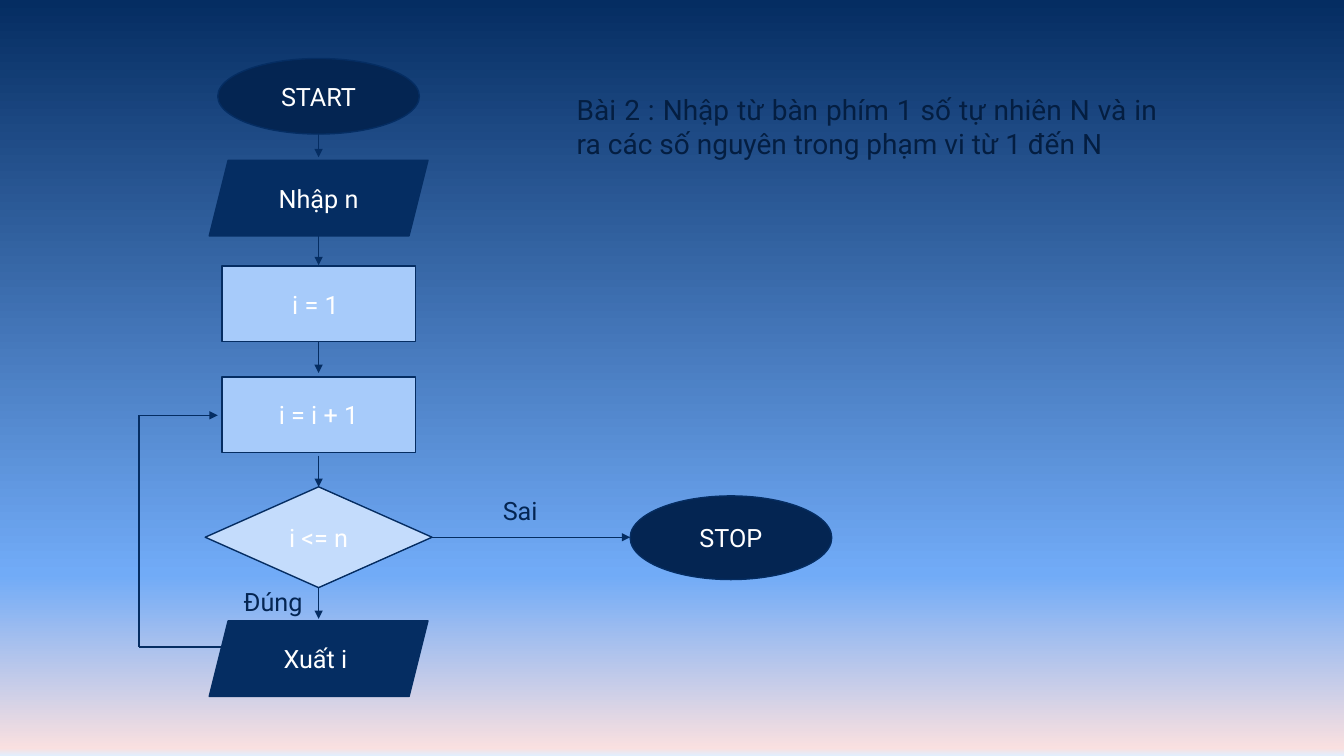
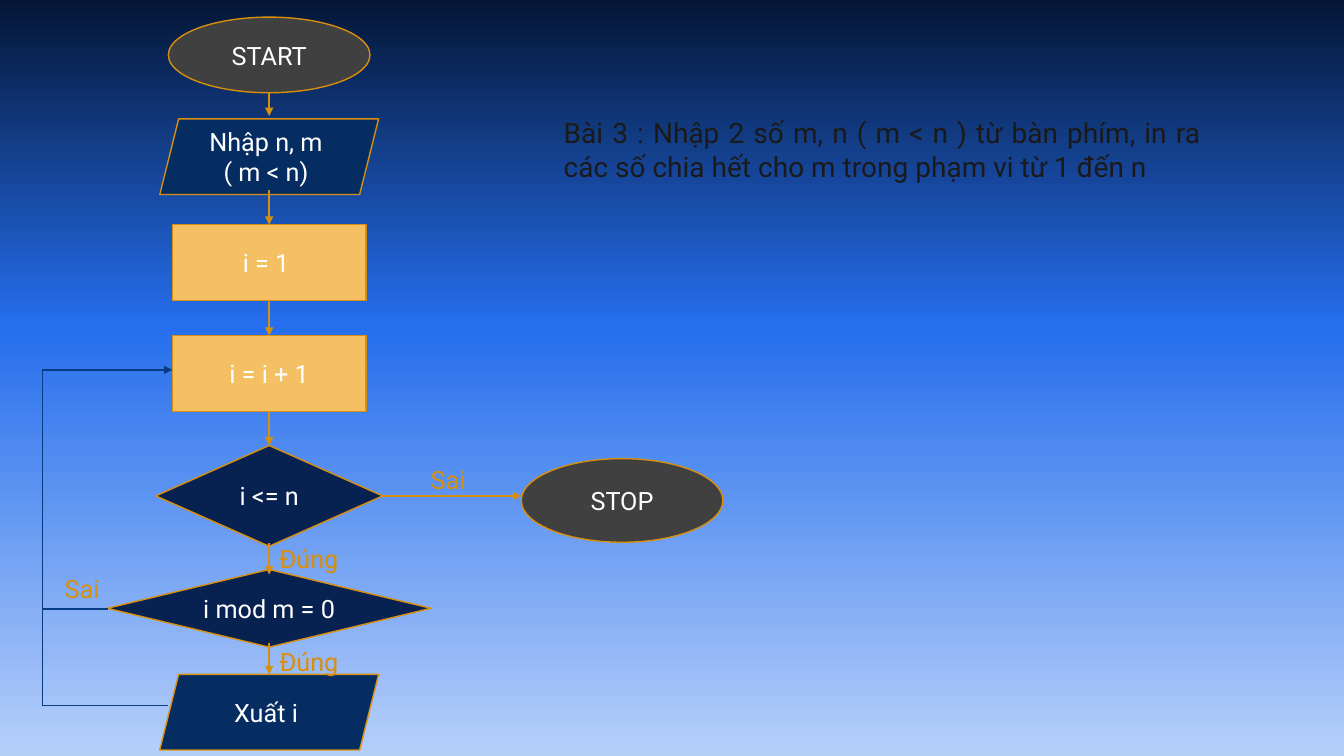
from dataclasses import dataclass

from lxml import etree
from pptx import Presentation
from pptx.dml.color import RGBColor
from pptx.enum.shapes import MSO_CONNECTOR, MSO_SHAPE
from pptx.enum.text import MSO_ANCHOR, MSO_AUTO_SIZE, PP_ALIGN
from pptx.oxml.ns import qn
from pptx.util import Inches, Pt

STRAIGHT = MSO_CONNECTOR.STRAIGHT
MIDDLE = MSO_ANCHOR.MIDDLE
GROW = MSO_AUTO_SIZE.SHAPE_TO_FIT_TEXT
CENTER = PP_ALIGN.CENTER
JUSTIFY = PP_ALIGN.JUSTIFY

FONT = "Roboto"
WHITE = "FFFFFF"
NAVY = "052D62"
KINDS = {
    "start": (MSO_SHAPE.OVAL, 2, 0.75),
    "stop": (MSO_SHAPE.OVAL, 2, 0.83),
    "data": (MSO_SHAPE.PARALLELOGRAM, 2.17, 0.75),
    "process": (MSO_SHAPE.RECTANGLE, 1.92, 0.75),
    "decision": (MSO_SHAPE.DIAMOND, 2.25, 1),
    "wide decision": (MSO_SHAPE.FLOWCHART_DECISION, 3.21, 0.77),
}


@dataclass
class Theme:
    gradient: list
    terminal: str
    process: str
    decision: str
    outline: str
    loop: str
    label: str
    task: str

    def fill(self, kind):
        return {"start": self.terminal, "stop": self.terminal, "data": NAVY,
                "process": self.process}.get(kind, self.decision)


COUNTING = Theme(
    [(0, "E2EEFD"), (1, "F9E0E0"), (24, "71ABF7"), (100, NAVY)],
    "042552", "A7CBFA", "C4DCFC", NAVY, NAVY, "042552", "041E41")
DIVISORS = Theme(
    [(0, "B6CFF9"), (57, "256EED"), (100, "041636")],
    "404040", "F5C064", "072251", "D88F0E", "073C82", "D88F0E", "1A1A1A")


def color(value):
    return RGBColor.from_string(value)


def add_slide(prs, theme):
    slide = prs.slides.add_slide(prs.slide_layouts[6])
    fill = slide.background.fill
    fill.gradient()
    fill.gradient_angle = 90
    stops = slide.element.find(".//" + qn("a:gsLst"))
    for stop in list(stops):
        stops.remove(stop)
    for position, value in theme.gradient:
        stop = etree.SubElement(stops, qn("a:gs"), pos=str(position * 1000))
        etree.SubElement(stop, qn("a:srgbClr"), val=value)
    return slide


def write(frame, text, size, value, align):
    frame.word_wrap = True
    frame.text = text
    for paragraph in frame.paragraphs:
        paragraph.alignment = align
        for run in paragraph.runs:
            run.font.name = FONT
            run.font.size = Pt(size)
            run.font.color.rgb = color(value)


def add_node(slide, theme, kind, center, top, text):
    preset, width, height = KINDS[kind]
    node = slide.shapes.add_shape(preset, Inches(center - width / 2), Inches(top),
                                  Inches(width), Inches(height))
    node.shadow.inherit = False
    node.fill.solid()
    node.fill.fore_color.rgb = color(theme.fill(kind))
    node.line.color.rgb = color(theme.outline)
    node.line.width = Pt(1)
    node.text_frame.vertical_anchor = MIDDLE
    write(node.text_frame, text, 18, WHITE, CENTER)


def add_link(slide, value, start, end, arrow=True):
    link = slide.shapes.add_connector(STRAIGHT, *map(Inches, start + end))
    link.line.color.rgb = color(value)
    link.line.width = Pt(1)
    if arrow:
        etree.SubElement(link.line._get_or_add_ln(), qn("a:tailEnd"), type="triangle")
    etree.SubElement(link._element.spPr, qn("a:effectLst"))


def add_text(slide, box, text, size, value, align):
    frame = slide.shapes.add_textbox(*map(Inches, box)).text_frame
    frame.margin_left = frame.margin_right = frame.margin_top = frame.margin_bottom = 0
    frame.auto_size = GROW
    write(frame, text, size, value, align)


def add_task(slide, theme, left, top, width, text):
    add_text(slide, (left, top, width, 0.67), text, 20, theme.task, JUSTIFY)


def add_labels(slide, theme, labels):
    for left, top, width, text in labels:
        add_text(slide, (left, top, width, 0.3), text, 18, theme.label, CENTER)


def add_column(slide, theme, center, steps, arrows):
    for kind, top, text in steps:
        add_node(slide, theme, kind, center, top, text)
    for start, end in arrows:
        add_link(slide, theme.outline, (center, start), (center, end))


def add_exit(slide, theme, start, end, level, stop_top):
    add_link(slide, theme.outline, (start, level), (end, level))
    add_node(slide, theme, "stop", end + KINDS["stop"][1] / 2, stop_top, "STOP")


def add_loop(slide, theme, left, target, sources):
    right, top = target
    bottom = max(level for _, level in sources)
    for source in sources:
        add_link(slide, theme.loop, source, (left, source[1]), arrow=False)
    add_link(slide, theme.loop, (left, top), (left, bottom), arrow=False)
    add_link(slide, theme.loop, (left, top), (right, top))


def build_counting(prs):
    theme = COUNTING
    slide = add_slide(prs, theme)
    add_task(slide, theme, 5.72, 0.92, 5.76,
             "Bài 2 : Nhập từ bàn phím 1 số tự nhiên N và in ra các số nguyên "
             "trong phạm vi từ 1 đến N ")
    add_column(slide, theme, 3.16, [
        ("start", 0.58, "START"),
        ("data", 1.59, "Nhập n"),
        ("process", 2.64, "i = 1 "),
        ("process", 3.74, "i = i + 1"),
        ("decision", 4.83, "i <= n"),
        ("data", 6.16, "Xuất i "),
    ], [(1.33, 1.56), (2.34, 2.63), (3.39, 3.7), (4.52, 4.83), (5.83, 6.14)])
    add_loop(slide, theme, 1.38, (2.16, 4.12), [(2.2, 6.42)])
    add_exit(slide, theme, 4.28, 6.25, 5.33, 4.92)
    add_labels(slide, theme, [(4.65, 4.91, 1.08, "Sai "), (2.2, 5.82, 1.08, "Đúng ")])


def build_divisors(prs):
    theme = DIVISORS
    slide = add_slide(prs, theme)
    add_task(slide, theme, 5.59, 1.15, 6.32,
             "Bài 3 : Nhập 2 số m, n ( m < n ) từ bàn phím, in ra các số chia hết "
             "cho m trong phạm vi từ 1 đến n ")
    add_column(slide, theme, 2.67, [
        ("start", 0.17, "START"),
        ("data", 1.18, "Nhập n, m \n( m < n) "),
        ("process", 2.23, "i = 1 "),
        ("process", 3.33, "i = i + 1"),
        ("decision", 4.42, "i <= n"),
        ("wide decision", 5.65, "i mod m = 0"),
        ("data", 6.69, "Xuất i "),
    ], [(0.92, 1.15), (1.89, 2.23), (2.98, 3.33), (4.08, 4.42), (5.39, 5.7), (6.38, 6.69)])
    add_loop(slide, theme, 0.42, (1.71, 3.67), [(1.67, 7), (1.07, 6.04)])
    add_exit(slide, theme, 3.8, 5.17, 4.92, 4.55)
    add_labels(slide, theme, [
        (4.1, 4.61, 0.75, "Sai "), (0.47, 5.69, 0.75, "Sai "),
        (2.65, 5.39, 0.83, "Đúng"), (2.65, 6.41, 0.83, "Đúng"),
    ])


def main():
    prs = Presentation()
    prs.slide_width, prs.slide_height = Inches(13.33), Inches(7.5)
    build_counting(prs)
    build_divisors(prs)
    prs.save("out.pptx")


main()
